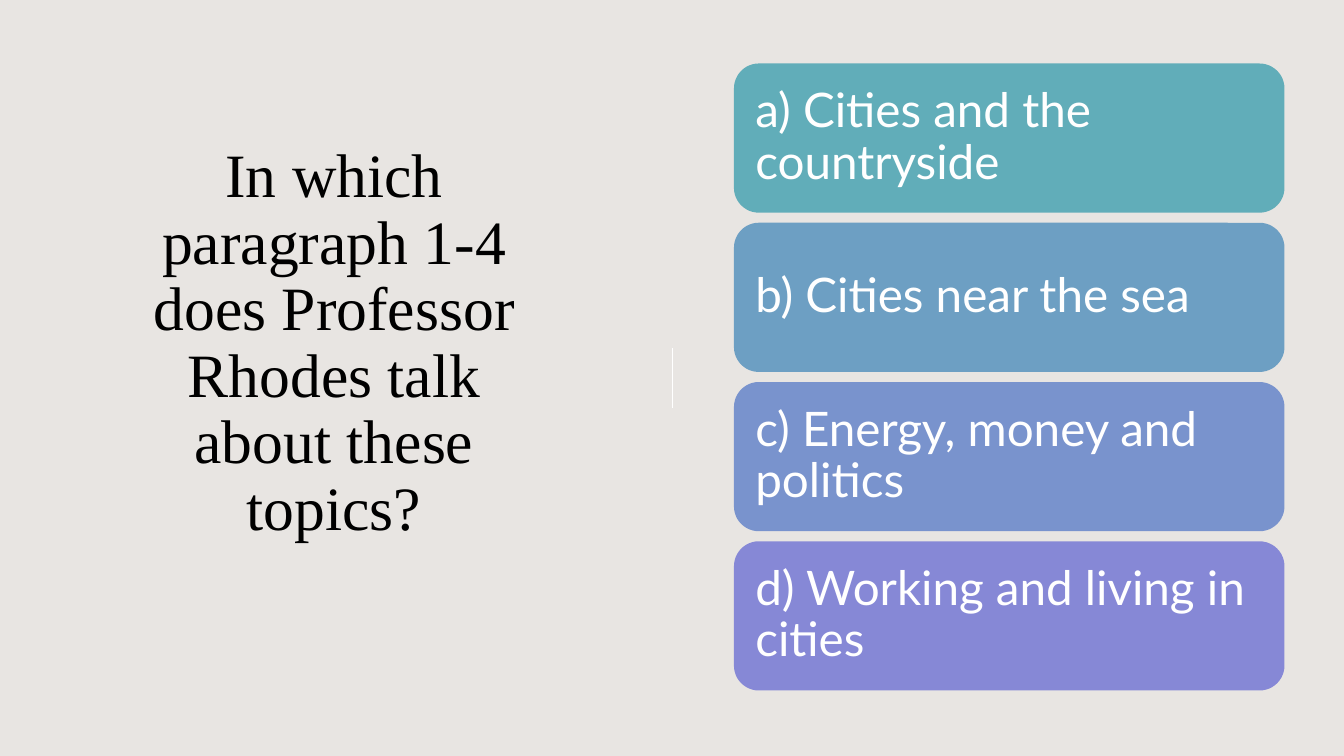
from pptx import Presentation
from pptx.dml.color import RGBColor
from pptx.enum.shapes import MSO_CONNECTOR, MSO_SHAPE
from pptx.enum.text import MSO_ANCHOR, PP_ALIGN
from pptx.oxml.ns import qn
from pptx.util import Inches, Pt
from lxml import etree

STRAIGHT = MSO_CONNECTOR.STRAIGHT
ROUNDED = MSO_SHAPE.ROUNDED_RECTANGLE
MIDDLE = MSO_ANCHOR.MIDDLE
LEFT, CENTER = PP_ALIGN.LEFT, PP_ALIGN.CENTER

BACKGROUND = RGBColor(0xE8, 0xE5, 0xE2)
BLACK = RGBColor(0x00, 0x00, 0x00)
WHITE = RGBColor(0xFF, 0xFF, 0xFF)
TEAL = RGBColor(0x61, 0xAD, 0xB9)
BLUE = RGBColor(0x6D, 0x9F, 0xC3)
PERIWINKLE = RGBColor(0x79, 0x93, 0xCD)
VIOLET = RGBColor(0x86, 0x88, 0xD6)

QUESTION = "In which paragraph 1-4 does Professor Rhodes talk about these topics?"
TOPICS = [
    ("a) Cities and the countryside", TEAL),
    ("b) Cities near the sea", BLUE),
    ("c) Energy, money and politics", PERIWINKLE),
    ("d) Working and living in cities", VIOLET),
]
CARD_TOP, CARD_HEIGHT, CARD_GAP = 0.63, 1.48, 0.1


class TopicSlide:
    title_font = "Times New Roman"
    card_font = "Lato"
    line_spacing = 0.9

    def __init__(self, deck):
        self.slide = deck.slides.add_slide(deck.slide_layouts[6])
        fill = self.slide.background.fill
        fill.solid()
        fill.fore_color.rgb = BACKGROUND

    def add_text(self, shape, text, font, size, color, align):
        frame = shape.text_frame
        frame.word_wrap = True
        frame.vertical_anchor = MIDDLE
        para = frame.paragraphs[0]
        para.alignment = align
        para.line_spacing = self.line_spacing
        span = para.add_run()
        span.text = text
        span.font.name = font
        span.font.size = Pt(size)
        span.font.color.rgb = color

    def title(self, text, left, top, width, height):
        box = self.slide.shapes.add_textbox(
            Inches(left), Inches(top), Inches(width), Inches(height))
        # The deep bottom margin lifts the question above the middle.
        box.text_frame.margin_bottom = Inches(0.71)
        self.add_text(box, text, self.title_font, 44, BLACK, CENTER)

    def divider(self, x, top, bottom):
        line = self.slide.shapes.add_connector(
            STRAIGHT, Inches(x), Inches(top), Inches(x), Inches(bottom))
        line.line.color.rgb = WHITE
        line.line.width = Pt(1)
        properties = line.element.find(qn("p:spPr"))
        etree.SubElement(properties, qn("a:effectLst"))

    def card(self, text, color, left, top, width, height):
        card = self.slide.shapes.add_shape(
            ROUNDED, Inches(left), Inches(top), Inches(width), Inches(height))
        card.shadow.inherit = False
        card.fill.solid()
        card.fill.fore_color.rgb = color
        card.line.fill.background()
        frame = card.text_frame
        frame.margin_left = frame.margin_right = Inches(0.14)
        frame.margin_top = frame.margin_bottom = Inches(0.14)
        self.add_text(card, text, self.card_font, 34, WHITE, LEFT)


def main():
    deck = Presentation()
    deck.slide_width, deck.slide_height = Inches(13.33), Inches(7.5)
    page = TopicSlide(deck)
    page.title(QUESTION, 1.18, 1.18, 4.27, 5.13)
    page.divider(6.67, 3.45, 4.05)
    for index, (topic, color) in enumerate(TOPICS):
        top = CARD_TOP + index * (CARD_HEIGHT + CARD_GAP)
        page.card(topic, color, 7.28, top, 5.46, CARD_HEIGHT)
    deck.save("out.pptx")


if __name__ == "__main__":
    main()
